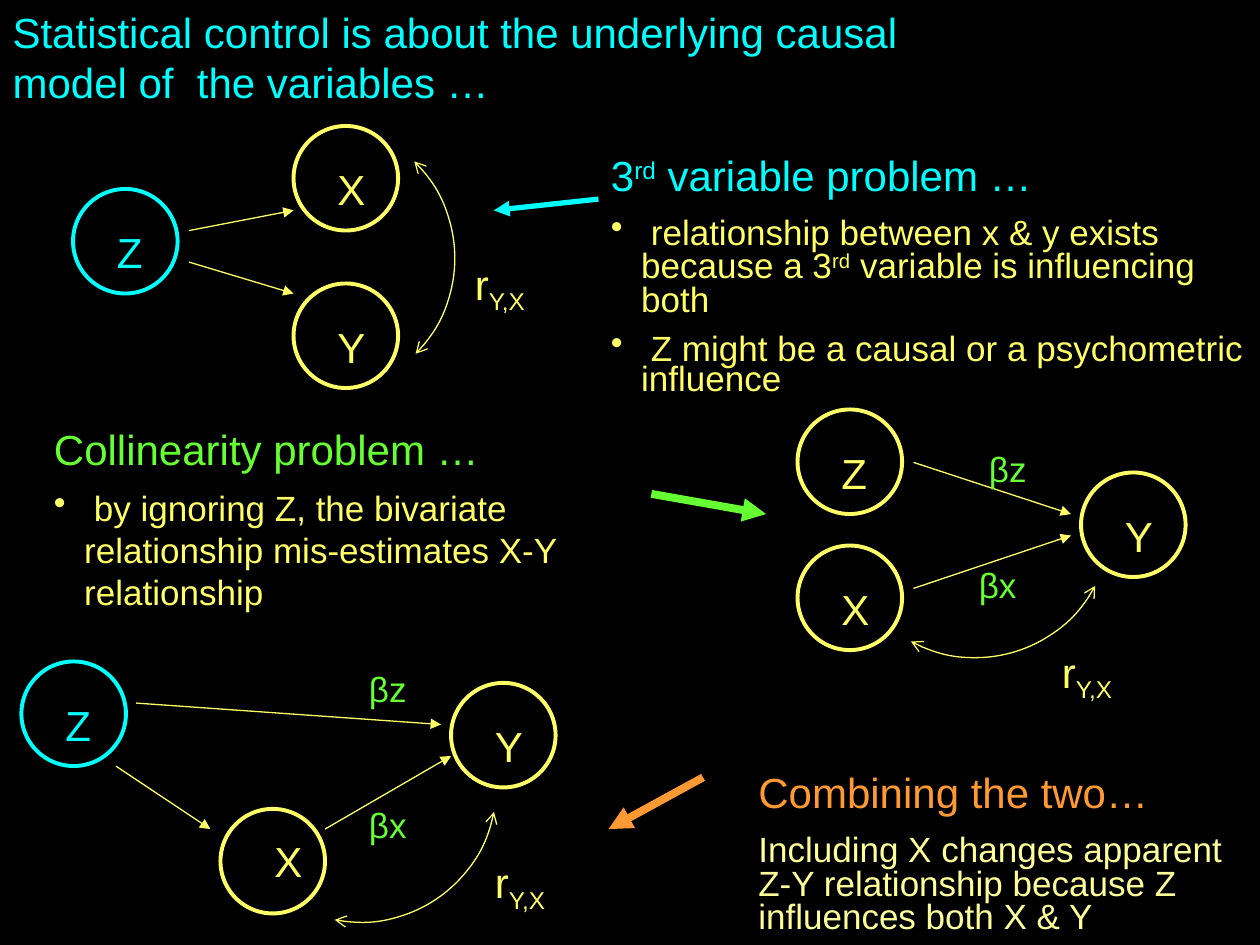
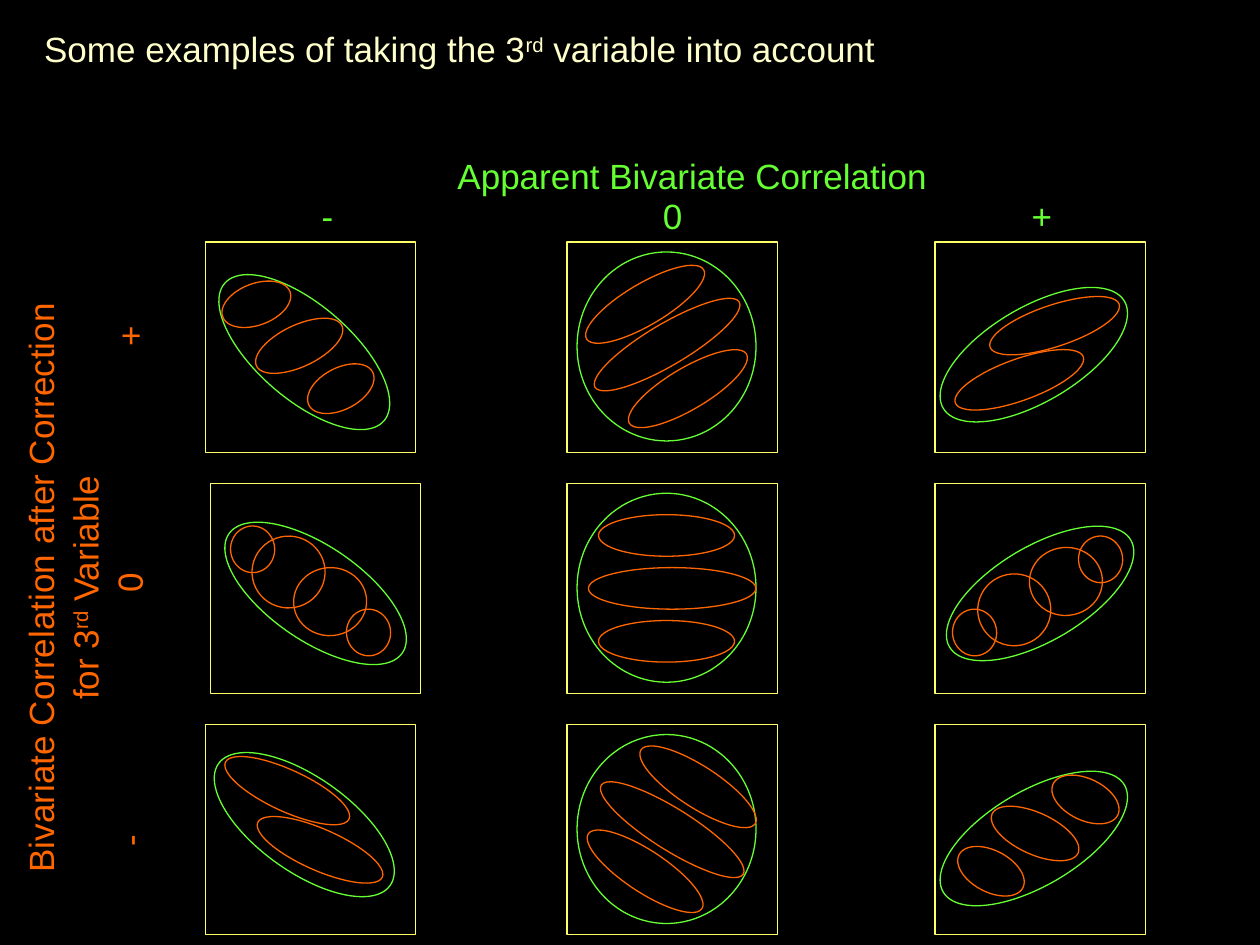
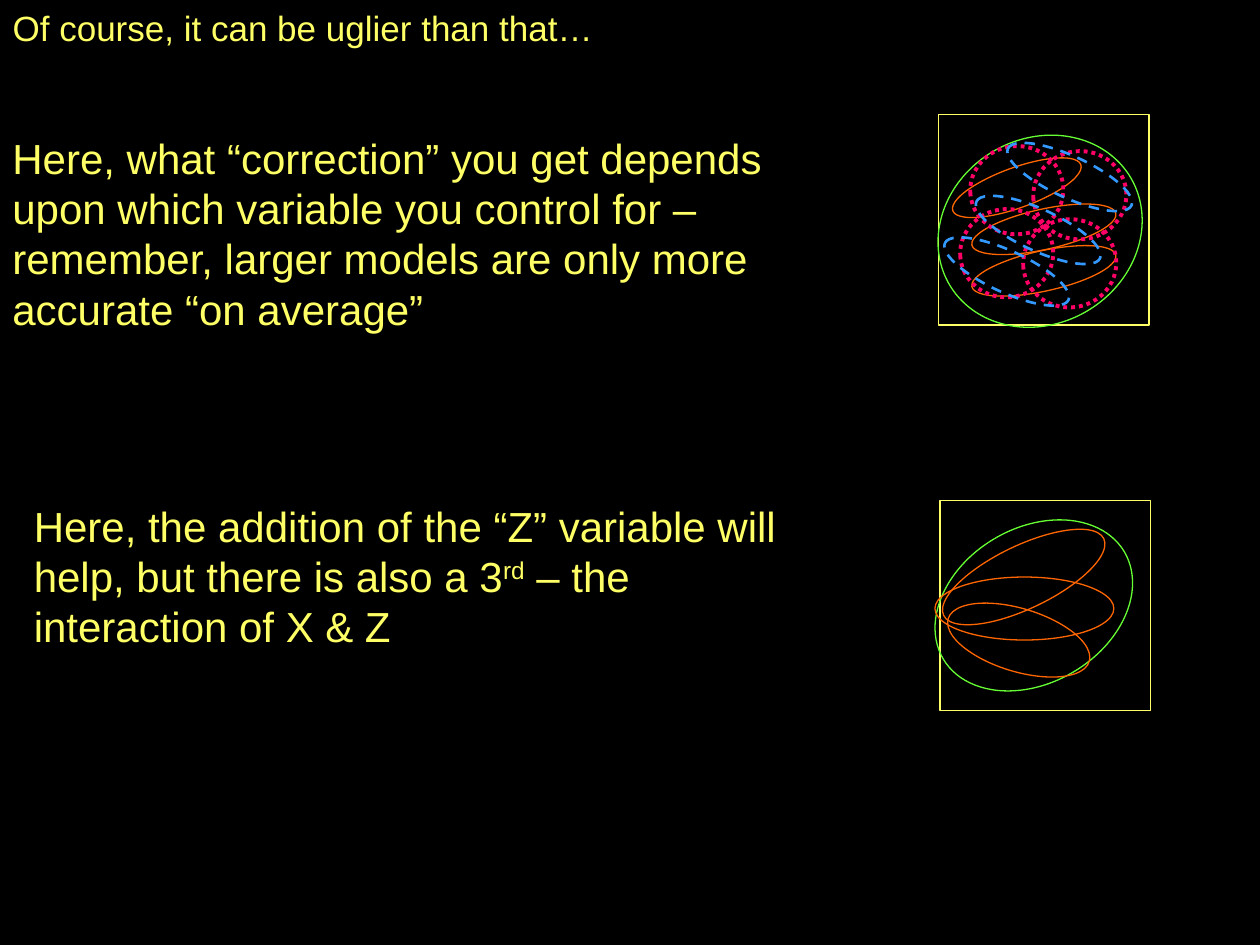
from lxml import etree
from pptx import Presentation
from pptx.dml.color import RGBColor
from pptx.enum import dml, shapes, text
from pptx.oxml.ns import qn
from pptx.util import Inches, Pt

FONT = "Arial"
BLACK, YELLOW, CYAN, GREEN = "000000", "FFFF66", "00FFFF", "66FF33"
AMBER, ORANGE, PINK, BLUE = "FF9933", "FF6600", "FF0066", "3399FF"
CREAM, PALE_YELLOW = "FFFFCC", "FFFF99"
SQUARE, NODE, ARC_RADIUS = 1.67, 0.83, 1.08
PARAGRAPH_GAP = 11
SUPER, SUB = 30000, -25000


def rgb(value):
    return RGBColor.from_string(value)


def inches(*values):
    return [Inches(v) for v in values]


def fill_paragraph(p, content, size, color, shift=SUPER):
    """Write content; every second part between bars is raised or lowered."""
    for i, part in enumerate(content.split("|")):
        r = p.add_run()
        r.text = part
        r.font.name, r.font.size = FONT, Pt(size)
        r.font.color.rgb = rgb(color)
        if i % 2:
            r._r.get_or_add_rPr().set("baseline", str(shift))


def add_bullet(p):
    pPr = p._p.get_or_add_pPr()
    pPr.set("marL", str(Inches(0.24)))
    pPr.set("indent", str(Inches(-0.24)))
    etree.SubElement(pPr, qn("a:buChar")).set("char", "•")


def add_center_tabs(p, stops):
    tabs = etree.SubElement(p._p.get_or_add_pPr(), qn("a:tabLst"))
    for stop in stops:
        tab = etree.SubElement(tabs, qn("a:tab"))
        tab.set("pos", str(Inches(stop)))
        tab.set("algn", "ctr")


def add_text(s, box, *paragraphs, shift=SUPER):
    """Each paragraph is (content, size, color) and a dict of optional settings."""
    sp = s.shapes.add_textbox(*inches(*box))
    tf = sp.text_frame
    tf.word_wrap = True
    for i, (content, size, color, *rest) in enumerate(paragraphs):
        options = rest[0] if rest else {}
        p = tf.add_paragraph() if i else tf.paragraphs[0]
        p.line_spacing = options.get("spacing", 1.0)
        if i:
            p.space_before = Pt(PARAGRAPH_GAP)
        if options.get("bullet"):
            add_bullet(p)
        if "tabs" in options:
            add_center_tabs(p, options["tabs"])
        if options.get("center"):
            p.alignment = text.PP_ALIGN.CENTER
        fill_paragraph(p, content, size, color, shift)
    return sp


def add_titled_slide(prs, box, content, size, color):
    s = prs.slides.add_slide(prs.slide_layouts[5])
    title = s.shapes.title
    title.left, title.top, title.width, title.height = inches(*box)
    tf = title.text_frame
    tf.word_wrap = True
    tf.auto_size = text.MSO_AUTO_SIZE.NONE
    tf.vertical_anchor = text.MSO_ANCHOR.TOP
    tf.paragraphs[0].alignment = text.PP_ALIGN.LEFT
    fill_paragraph(tf.paragraphs[0], content, size, color)
    return s


def add_outline(s, preset, box, color, width=0.75, rotation=0, dash=None):
    sp = s.shapes.add_shape(preset, *inches(*box))
    sp.shadow.inherit = False
    sp.fill.background()
    sp.line.color.rgb = rgb(color)
    sp.line.width = Pt(width)
    sp.rotation = rotation
    if dash:
        sp.line.dash_style = dash
    return sp


def add_arrowheads(sp, **ends):
    ln = sp.line._get_or_add_ln()
    for tag in ("headEnd", "tailEnd"):
        if tag in ends:
            etree.SubElement(ln, qn("a:" + tag)).set("type", ends[tag])


def add_arrow(s, x1, y1, x2, y2, color=YELLOW, width=0.75):
    line = s.shapes.add_connector(shapes.MSO_CONNECTOR.STRAIGHT, *inches(x1, y1, x2, y2))
    line.line.color.rgb = rgb(color)
    line.line.width = Pt(width)
    add_arrowheads(line, tailEnd="triangle")
    etree.SubElement(line._element.spPr, qn("a:effectLst"))


def add_node(s, x, y, letter, color=YELLOW, indent=0.25):
    add_outline(s, shapes.MSO_SHAPE.OVAL, (x, y, NODE, NODE), color, 2.25)
    add_text(s, (x + indent, y + 0.25 if indent == 0.25 else y + 0.16, 0.33, 0.5),
             (letter, 24, color))


def add_causal_model(s, left, top, nodes, arrows, arc, correlation, betas=()):
    """Draw nodes, causal arrows, beta labels and the correlation arc from one corner."""
    for x, y, *node in nodes:
        add_node(s, left + x, top + y, *node)
    for x1, y1, x2, y2 in arrows:
        add_arrow(s, left + x1, top + y1, left + x2, top + y2)
    for x, y, label in betas:
        add_text(s, (left + x, top + y, 0.58, 0.43), (label, 20, GREEN))
    x, y, rotation = arc
    curve = add_outline(s, shapes.MSO_SHAPE.ARC,
                        (left + x - ARC_RADIUS, top + y - ARC_RADIUS,
                         2 * ARC_RADIUS, 2 * ARC_RADIUS), YELLOW, rotation=rotation)
    add_arrowheads(curve, headEnd="arrow", tailEnd="arrow")
    x, y = correlation
    add_text(s, (left + x, top + y, 0.92, 0.5), ("r|Y,X|", 24, YELLOW), shift=SUB)


def add_scatter(s, left, top, whole, groups, color=ORANGE):
    """Square with the whole sample's ellipse and those of its groups."""
    add_outline(s, shapes.MSO_SHAPE.RECTANGLE, (left, top, SQUARE, SQUARE), YELLOW)
    add_ellipses(s, left, top, [whole], GREEN)
    add_ellipses(s, left, top, groups, color)


def add_ellipses(s, left, top, ellipses, color, width=0.75, dash=None):
    for x, y, w, h, rotation in ellipses:
        add_outline(s, shapes.MSO_SHAPE.OVAL, (left + x, top + y, w, h),
                    color, width, rotation, dash)


def build_causal_models(prs):
    s = add_titled_slide(
        prs, (0, 0, 7.58, 0.9),
        "Statistical control is about the underlying causal model of  the variables …", 24, CYAN)

    add_causal_model(
        s, 0.58, 1,
        nodes=[(1.75, 0, "X"), (1.75, 1.25, "Y"), (0, 0.5, "Z", CYAN)],
        arrows=[(0.92, 0.83, 1.75, 0.67), (0.92, 1.08, 1.75, 1.33)],
        arc=(1.95, 1.05, 44.6), correlation=(3.09, 1))
    add_text(
        s, (4.75, 1.25, 5.25, 1.71),
        ("3|rd| variable problem …", 24, CYAN, {"spacing": 0.7}),
        (" relationship between x & y exists because a 3|rd| variable is influencing both",
         20, YELLOW, {"spacing": 0.8, "bullet": True}),
        (" Z might be a causal or a psychometric influence",
         20, YELLOW, {"spacing": 0.7, "bullet": True}))

    add_causal_model(
        s, 0.17, 5.25,
        nodes=[(3.41, 0.17, "Y"), (1.58, 1.17, "X", YELLOW, 0.33), (0, 0, "Z", CYAN)],
        arrows=[(0.91, 0.33, 3.33, 0.5), (0.75, 0.83, 1.5, 1.33), (2.41, 1.33, 3.41, 0.75)],
        arc=(2.69, 0.99, 100.9), correlation=(3.66, 1.5),
        betas=[(2.66, 1.08, "βx"), (2.66, 0, "βz")])
    add_text(
        s, (5.92, 6.11, 4.08, 1.39),
        ("Combining the two…", 24, AMBER, {"spacing": 0.8}),
        ("Including X changes apparent Z-Y relationship because Z influences both X & Y",
         20, PALE_YELLOW, {"spacing": 0.8}))

    add_causal_model(
        s, 6.33, 3.25,
        nodes=[(0, 1.08, "X"), (2.25, 0.5, "Y"), (0, 0, "Z")],
        arrows=[(0.92, 0.42, 2.17, 0.83), (0.92, 1.42, 2.17, 1)],
        arc=(1.41, 0.89, 118.2), correlation=(2, 1.83),
        betas=[(1.42, 0.25, "βz"), (1.34, 1.17, "βx")])
    add_text(
        s, (0.33, 3.58, 5.2, 1.11),
        ("Collinearity problem …", 24, GREEN, {"spacing": 0.2}),
        (" by ignoring Z, the bivariate relationship mis-estimates X-Y relationship",
         20, YELLOW, {"bullet": True}))

    add_arrow(s, 4.75, 1.58, 3.92, 1.67, CYAN, 3)
    add_arrow(s, 5.58, 6.17, 4.83, 6.58, AMBER, 4.5)
    add_arrow(s, 5.17, 3.92, 6.08, 4.08, GREEN, 4.5)


ROUND = (0.08, 0.08, 1.42, 1.5, 0)


def tilted(x, y, rotation):
    return (x, y, 1.67, 0.75, rotation)


# Rows run +, 0, - after correction; each cell is left, whole sample, groups.
CORRECTION_GRID = [
    [(1.63, tilted(-0.05, 0.5, 40.8),
      [(0.12, 0.33, 0.57, 0.33, 339.3), (0.37, 0.66, 0.75, 0.33, 334.7),
       (0.79, 1, 0.57, 0.33, 332.3)]),
     (4.5, ROUND,
      [(0.42, 1, 1.08, 0.33, 329.4), (0.08, 0.33, 1.08, 0.33, 329.4),
       (0.13, 0.65, 1.33, 0.33, 329.4)]),
     (7.42, tilted(-0.05, 0.52, 329.4),
      [(0.13, 0.93, 1.08, 0.33, 340.2), (0.41, 0.5, 1.08, 0.33, 341.6)])],
    [(1.67, tilted(0, 0.5, 34.5),
      [(1.08, 1, 0.35, 0.37, 355.7), (0.16, 0.34, 0.35, 0.37, 355.7),
       (0.66, 0.67, 0.58, 0.54, 355.7), (0.33, 0.42, 0.58, 0.57, 355.7)]),
     (4.5, ROUND,
      [(0.25, 1.09, 1.08, 0.33, 0), (0.25, 0.25, 1.08, 0.33, 0),
       (0.17, 0.67, 1.33, 0.33, 0)]),
     (7.42, tilted(0, 0.5, 329.4),
      [(0.14, 1, 0.35, 0.37, 355.7), (1.14, 0.42, 0.35, 0.37, 355.7),
       (0.75, 0.51, 0.58, 0.54, 355.7), (0.34, 0.72, 0.58, 0.57, 355.7)])],
    [(1.63, tilted(-0.05, 0.42, 35.4),
      [(0.37, 0.83, 1.08, 0.33, 23.7), (0.11, 0.36, 1.08, 0.33, 24.7)]),
     (4.5, ROUND,
      [(0.08, 1, 1.08, 0.33, 33.4), (0.5, 0.33, 1.08, 0.33, 32.9),
       (0.17, 0.67, 1.33, 0.33, 32.1)]),
     (7.42, tilted(-0.05, 0.53, 329.4),
      [(0.91, 0.43, 0.57, 0.33, 25.7), (0.42, 0.7, 0.75, 0.33, 24.6),
       (0.16, 1, 0.57, 0.33, 27.6)])],
]


def build_correction_grid(prs):
    s = add_titled_slide(prs, (0.25, 0.17, 8.33, 0.43),
                         "Some examples of taking the 3|rd| variable into account", 20, CREAM)
    for row, cells in enumerate(CORRECTION_GRID):
        for left, whole, groups in cells:
            add_scatter(s, left, 1.92 + 1.915 * row, whole, groups)

    across = {"spacing": 0.5, "center": True}
    add_text(s, (1.83, 1.32, 7.33, 0.6),
             ("Apparent Bivariate Correlation", 20, GREEN, across),
             ("\t-\t0\t+", 20, GREEN, {"spacing": 0.5, "tabs": (0.67, 3.41, 6.34)}))
    upward = {"spacing": 0.6, "center": True}
    side = add_text(s, (-1.93, 4.15, 5.33, 1.03),
                    ("Bivariate Correlation after Correction", 20, ORANGE, upward),
                    ("for 3|rd| Variable", 20, ORANGE, upward),
                    ("\t-\t0\t+", 20, ORANGE, {"spacing": 0.6, "tabs": (0.56, 2.61, 4.56)}))
    side.rotation = 270


def build_uglier_cases(prs):
    s = add_titled_slide(prs, (0, 0, 6.33, 0.43),
                         "Of course, it can be uglier than that…", 20, YELLOW)

    left, top = 7.45, 0.91
    add_scatter(s, left, top, (-0.03, 0.19, 1.67, 1.47, 329.4),
                [(0.08, 0.42, 1.08, 0.32, 340.2), (0.25, 1.08, 1.17, 0.32, 347.6),
                 (0.25, 0.75, 1.17, 0.32, 347.6)])
    dotted = [(0.17, 0.75), (0.75, 0.29), (0.67, 0.83), (0.25, 0.25)]
    add_ellipses(s, left, top, [(x, y, 0.74, 0.7, 355.7) for x, y in dotted],
                 PINK, 2.25, dml.MSO_LINE.ROUND_DOT)
    dashed = [(0, 1.08), (0.25, 0.75), (0.5, 0.33)]
    add_ellipses(s, left, top, [(x, y, 1.08, 0.33, 24.7) for x, y in dashed],
                 BLUE, 1.5, dml.MSO_LINE.DASH)
    add_text(s, (0, 1, 6.25, 1.7),
             ("Here, what “correction” you get depends upon which variable you control for – "
              "remember, larger models are only more accurate “on average”", 24, YELLOW))

    add_scatter(s, 7.46, 3.97, (-0.09, 0.22, 1.67, 1.23, 329.4),
                [(-0.04, 0.61, 1.42, 0.5, 0), (-0.04, 0.36, 1.41, 0.5, 334.4),
                 (0.04, 0.86, 1.17, 0.5, 16.9)])
    add_text(s, (0.17, 3.92, 6.17, 1.3),
             ("Here, the addition of the “Z” variable will help, but there is also a 3|rd| – "
              "the interaction of X & Z", 24, YELLOW))


def main():
    prs = Presentation()
    prs.slide_width, prs.slide_height = inches(10, 7.5)
    background = prs.slide_master.background.fill
    background.solid()
    background.fore_color.rgb = rgb(BLACK)
    build_causal_models(prs)
    build_correction_grid(prs)
    build_uglier_cases(prs)
    prs.save("out.pptx")


if __name__ == "__main__":
    main()
